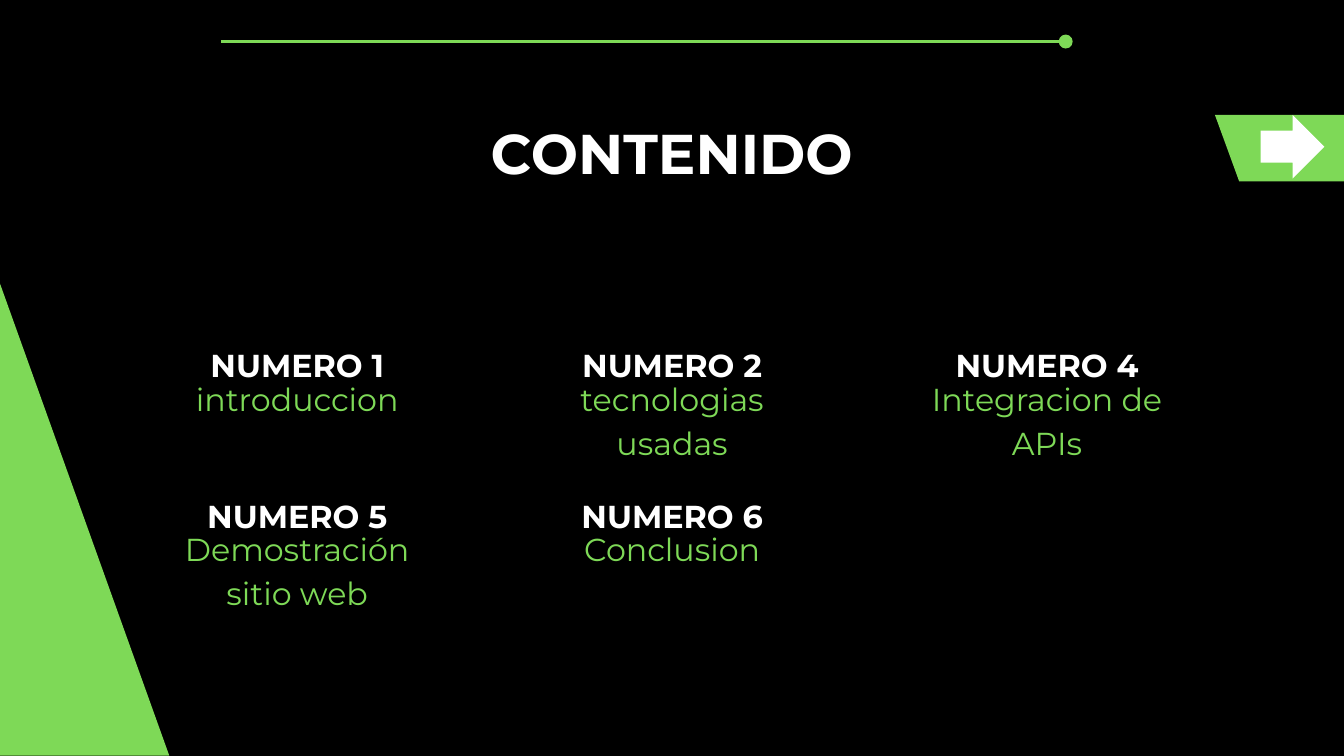
from lxml.etree import SubElement
from pptx import Presentation
from pptx.dml.color import RGBColor
from pptx.enum.shapes import MSO_CONNECTOR as CONNECTOR, MSO_SHAPE as SHAPE
from pptx.enum.text import MSO_ANCHOR as ANCHOR, MSO_AUTO_SIZE as AUTO_SIZE, PP_ALIGN as ALIGN
from pptx.oxml.ns import qn
from pptx.util import Cm, Pt

COLORS = {"black": "000000", "green": "7ED957", "white": "FFFFFF"}
FONT = "Montserrat"

TITLE = "CONTENIDO"
TOPICS = [
    ("NUMERO 1", "introduccion"),
    ("NUMERO 2", "tecnologias usadas"),
    ("NUMERO 4", "Integracion de APIs"),
    ("NUMERO 5", "Demostración sitio web"),
    ("NUMERO 6", "Conclusion"),
]
WEDGE = [(0, 10.72), (0, 28.57), (6.4, 28.57)]
BANNER = [(45.92, 4.34), (50.8, 4.34), (50.8, 6.86), (46.84, 6.86)]

COLUMNS = 3
LEFT, TOP = 6.41, 12.85
COLUMN_STEP, ROW_STEP = 14.17, 5.69
TOPIC_WIDTH, LINE_HEIGHT, DETAIL_OFFSET = 9.65, 1.6, 1.25


def rgb(name):
    return RGBColor.from_string(COLORS[name])


def paint(s, color):
    s.fill.solid()
    s.fill.fore_color.rgb = rgb(color)
    s.line.fill.background()
    s.shadow.inherit = False


def write(s, text, size, color, spacing, bold=False):
    tf = s.text_frame
    tf.margin_left = tf.margin_right = tf.margin_top = tf.margin_bottom = 0
    tf.word_wrap = True
    tf.auto_size = AUTO_SIZE.NONE
    tf.vertical_anchor = ANCHOR.TOP
    tf.text = text
    p = tf.paragraphs[0]
    p.alignment = ALIGN.CENTER
    p.line_spacing = Pt(spacing)
    font = p.runs[0].font
    font.name, font.size, font.bold = FONT, Pt(size), bold
    font.color.rgb = rgb(color)


def add_text(slide, box, *args, **kwargs):
    write(slide.shapes.add_textbox(*map(Cm, box)), *args, **kwargs)


def add_polygon(slide, points, color):
    start, *rest = [(Cm(x), Cm(y)) for x, y in points]
    builder = slide.shapes.build_freeform(*start)
    builder.add_line_segments(rest, close=True)
    paint(builder.convert_to_shape(), color)


def add_header_line(slide):
    s = slide.shapes.add_connector(CONNECTOR.STRAIGHT, Cm(8.36), Cm(1.57), Cm(40.28), Cm(1.57))
    s.line.color.rgb = rgb("green")
    s.line.width = Pt(3)
    SubElement(s.line._get_or_add_ln(), qn("a:tailEnd"), type="oval", w="lg", len="lg")
    SubElement(s._element.spPr, qn("a:effectLst"))


def add_topics(slide):
    for i, (heading, detail) in enumerate(TOPICS):
        row, column = divmod(i, COLUMNS)
        x, y = LEFT + column * COLUMN_STEP, TOP + row * ROW_STEP
        add_text(slide, (x, y, TOPIC_WIDTH, LINE_HEIGHT), heading, 34, "white", 47.6, bold=True)
        add_text(slide, (x, y + DETAIL_OFFSET, TOPIC_WIDTH, 2 * LINE_HEIGHT),
                 detail, 34, "green", 47.6)


def main():
    prs = Presentation()
    prs.slide_width, prs.slide_height = Cm(50.8), Cm(28.58)
    slide = prs.slides.add_slide(prs.slide_layouts[5])
    slide.background.fill.solid()
    slide.background.fill.fore_color.rgb = rgb("black")

    add_header_line(slide)
    add_polygon(slide, WEDGE, "green")
    add_polygon(slide, BANNER, "green")
    arrow = slide.shapes.add_shape(SHAPE.RIGHT_ARROW, Cm(47.65), Cm(4.34), Cm(2.41), Cm(2.41))
    paint(arrow, "white")

    title = slide.shapes.title
    title.left, title.top, title.width, title.height = map(Cm, (13.41, 4.06, 23.95, 2.79))
    write(title, TITLE, 60, "white", 83.9, bold=True)
    add_topics(slide)
    prs.save("out.pptx")


if __name__ == "__main__":
    main()
